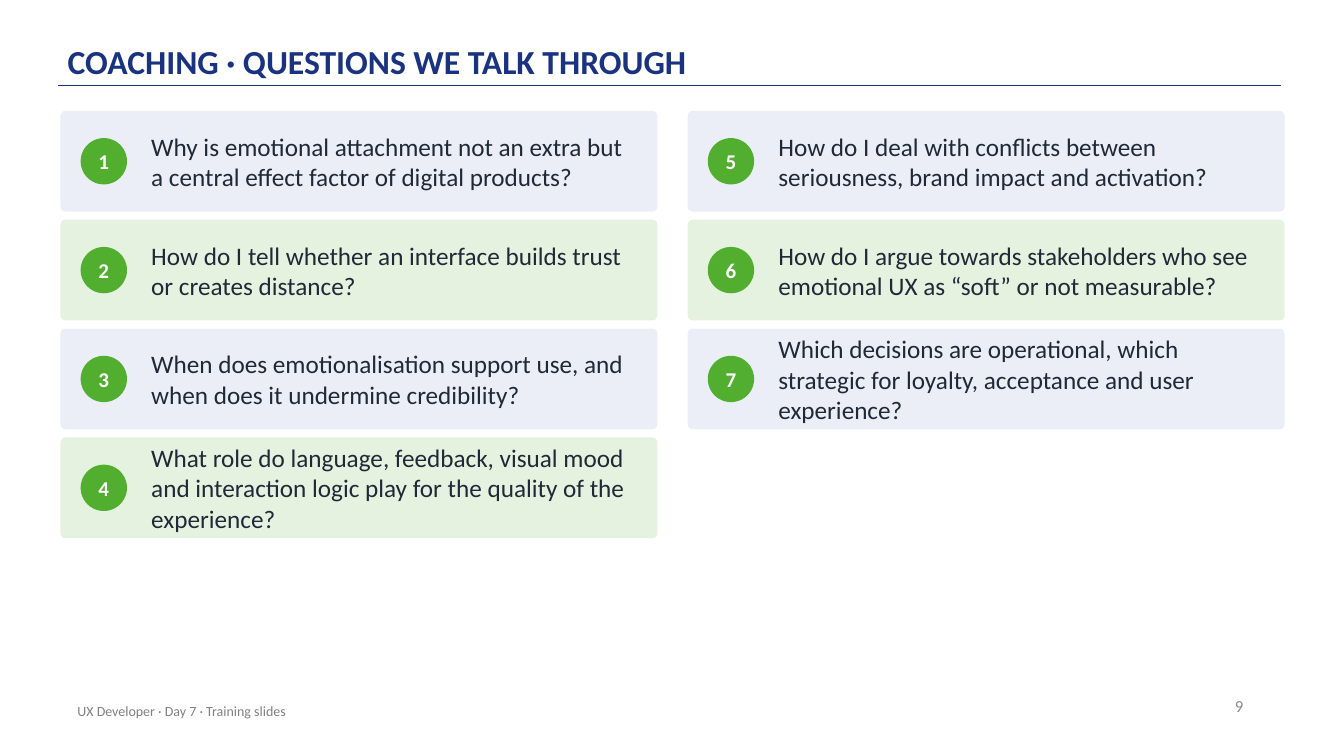
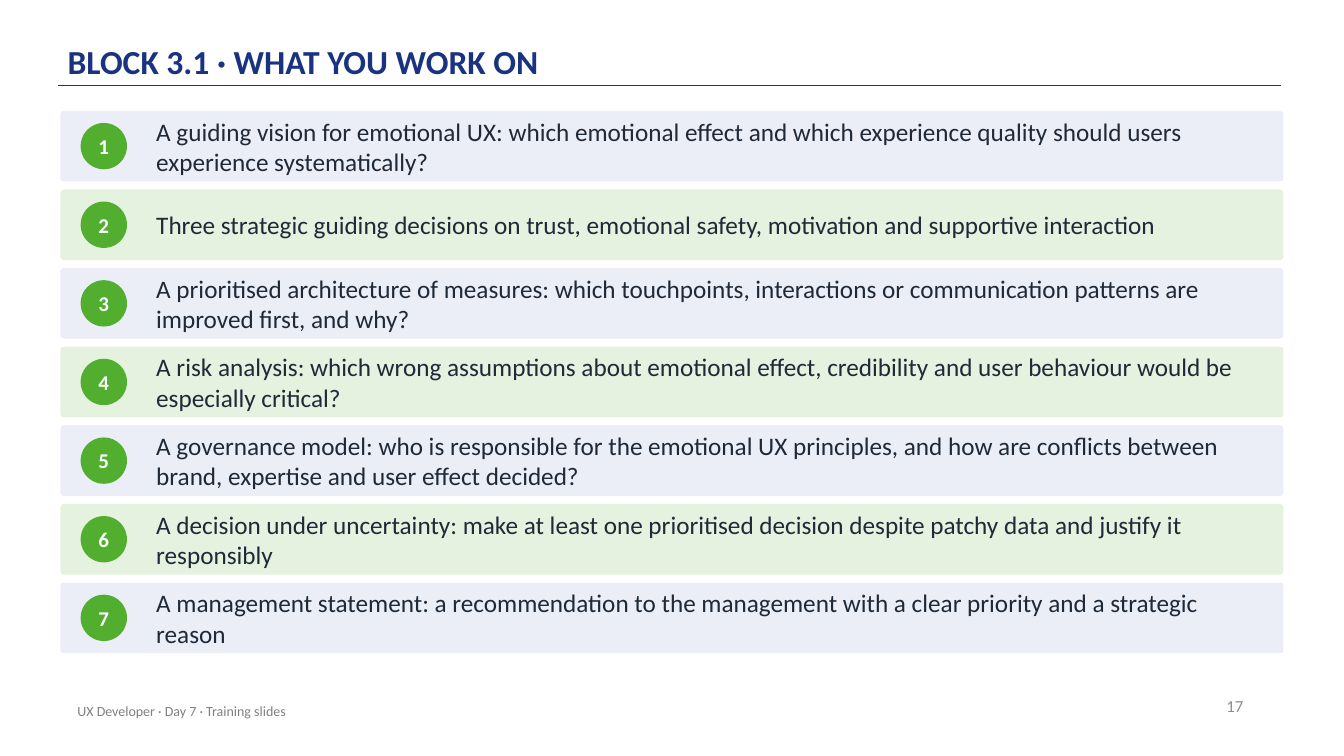
from pptx import Presentation
from pptx import util as u
from pptx.dml.color import RGBColor
from pptx.enum import shapes, text
from lxml import etree

PX = 9144  # EMU; 100 px to the inch
FONT = "Calibri"
COLOURS = {
    "navy": "1A3381", "green": "51AE2F", "ink": "1F2937", "white": "FFFFFF",
    "pale_blue": "ECEEF7", "pale_green": "E5F2DF",
    "footer": "808080", "number": "8C8C8C",
}
BANDS = ("pale_blue", "pale_green")
FOOTER = "UX Developer · Day 7 · Training slides"

LEFT, TOP, ROW_GAP, COLUMN_GAP = 60, 110, 8, 30
BADGE, BADGE_INDENT = 46, 20

STYLES = {
    "title": {"size": u.Pt(24), "bold": True, "colour": "navy"},
    "item": {"size": u.Pt(18), "bold": False, "colour": "ink"},
    "badge": {"size": u.Pt(15), "bold": True, "colour": "white"},
    "number": {"size": u.Pt(12), "bold": False, "colour": "number"},
    "footer": {"size": u.Pt(10), "bold": False, "colour": "footer"},
}

PAGES = [
    {
        "title": "COACHING · QUESTIONS WE TALK THROUGH",
        "number": 9,
        "rows": 4, "card": (592, 100), "text_indent": 90, "text_margin": 20,
        "items": [
            "Why is emotional attachment not an extra but a central effect factor of digital products?",
            "How do I tell whether an interface builds trust or creates distance?",
            "When does emotionalisation support use, and when does it undermine credibility?",
            "What role do language, feedback, visual mood and interaction logic play for the quality of the experience?",
            "How do I deal with conflicts between seriousness, brand impact and activation?",
            "How do I argue towards stakeholders who see emotional UX as “soft” or not measurable?",
            "Which decisions are operational, which strategic for loyalty, acceptance and user experience?",
        ],
    },
    {
        "title": "BLOCK 3.1 · WHAT YOU WORK ON",
        "number": 17,
        "rows": 7, "card": (1213, 70), "text_indent": 95, "text_margin": 25,
        "items": [
            "A guiding vision for emotional UX: which emotional effect and which experience quality should users experience systematically?",
            "Three strategic guiding decisions on trust, emotional safety, motivation and supportive interaction",
            "A prioritised architecture of measures: which touchpoints, interactions or communication patterns are improved first, and why?",
            "A risk analysis: which wrong assumptions about emotional effect, credibility and user behaviour would be especially critical?",
            "A governance model: who is responsible for the emotional UX principles, and how are conflicts between brand, expertise and user effect decided?",
            "A decision under uncertainty: make at least one prioritised decision despite patchy data and justify it responsibly",
            "A management statement: a recommendation to the management with a clear priority and a strategic reason",
        ],
    },
]


def px(*lengths):
    return [u.Emu(length * PX) for length in lengths]


def colour(name):
    return RGBColor.from_string(COLOURS[name])


def write(shape, words, style, align=text.PP_ALIGN.LEFT,
          anchor=text.MSO_ANCHOR.MIDDLE, insets=(0, 0, 0, 0)):
    """Put one styled paragraph in a shape; insets are left, top, right, bottom."""
    frame = shape.text_frame
    frame.word_wrap = True
    frame.auto_size = text.MSO_AUTO_SIZE.NONE
    frame.vertical_anchor = anchor
    for side, inset in zip(("left", "top", "right", "bottom"), px(*insets)):
        setattr(frame, f"margin_{side}", inset)
    para = frame.paragraphs[0]
    para.alignment = align
    span = para.add_run()
    span.text = words
    span.font.name = FONT
    for name, value in STYLES[style].items():
        if name == "colour":
            span.font.color.rgb = colour(value)
        else:
            setattr(span.font, name, value)
    return para


def add_filled(page, kind, box, fill):
    shape = page.shapes.add_shape(kind, *px(*box))
    shape.shadow.inherit = False
    shape.fill.solid()
    shape.fill.fore_color.rgb = colour(fill)
    shape.line.fill.background()
    return shape


def add_frame(page, content):
    """Add the rule, title, page number and footer that every page has."""
    rule = page.shapes.add_connector(
        shapes.MSO_CONNECTOR.STRAIGHT, *px(1271, 85, 58, 85))
    rule.line.color.rgb = colour("navy")
    rule.line.width = u.Pt(1)
    namespace = "{http://schemas.openxmlformats.org/drawingml/2006/main}"
    etree.SubElement(rule._element.spPr, namespace + "effectLst")

    title = page.shapes.title
    title.left, title.top, title.width, title.height = px(67, 12, 1100, 72)
    para = write(title, content["title"], "title",
                 anchor=text.MSO_ANCHOR.BOTTOM, insets=(0, 3, 0, 3))
    para.line_spacing = 0.9

    number = page.shapes.add_textbox(*px(943, 680, 300, 40))
    write(number, str(content["number"]), "number",
          align=text.PP_ALIGN.RIGHT, insets=(10, 5, 10, 5))
    footer = page.shapes.add_textbox(*px(67, 685, 670, 40))
    write(footer, FOOTER, "footer", insets=(10, 5, 10, 5))


def add_cards(page, content):
    """Lay out the numbered cards, filling each column from top to bottom."""
    width, height = content["card"]
    indent = content["text_indent"]
    text_width = width - indent - content["text_margin"]
    for index, words in enumerate(content["items"]):
        column, row = divmod(index, content["rows"])
        left = LEFT + column * (width + COLUMN_GAP)
        top = TOP + row * (height + ROW_GAP)

        card = add_filled(page, shapes.MSO_SHAPE.ROUNDED_RECTANGLE,
                          (left, top, width, height), BANDS[row % len(BANDS)])
        card.adjustments[0] = 0.05
        badge_top = top + (height - BADGE) // 2
        badge = add_filled(page, shapes.MSO_SHAPE.OVAL,
                           (left + BADGE_INDENT, badge_top, BADGE, BADGE), "green")
        write(badge, str(index + 1), "badge", align=text.PP_ALIGN.CENTER)
        label = page.shapes.add_textbox(*px(left + indent, top, text_width, height))
        write(label, words, "item")


def main():
    deck = Presentation()
    deck.slide_width, deck.slide_height = px(1333, 750)
    title_only = deck.slide_layouts[5]
    for content in PAGES:
        page = deck.slides.add_slide(title_only)
        add_frame(page, content)
        add_cards(page, content)
    deck.save("out.pptx")


if __name__ == "__main__":
    main()
